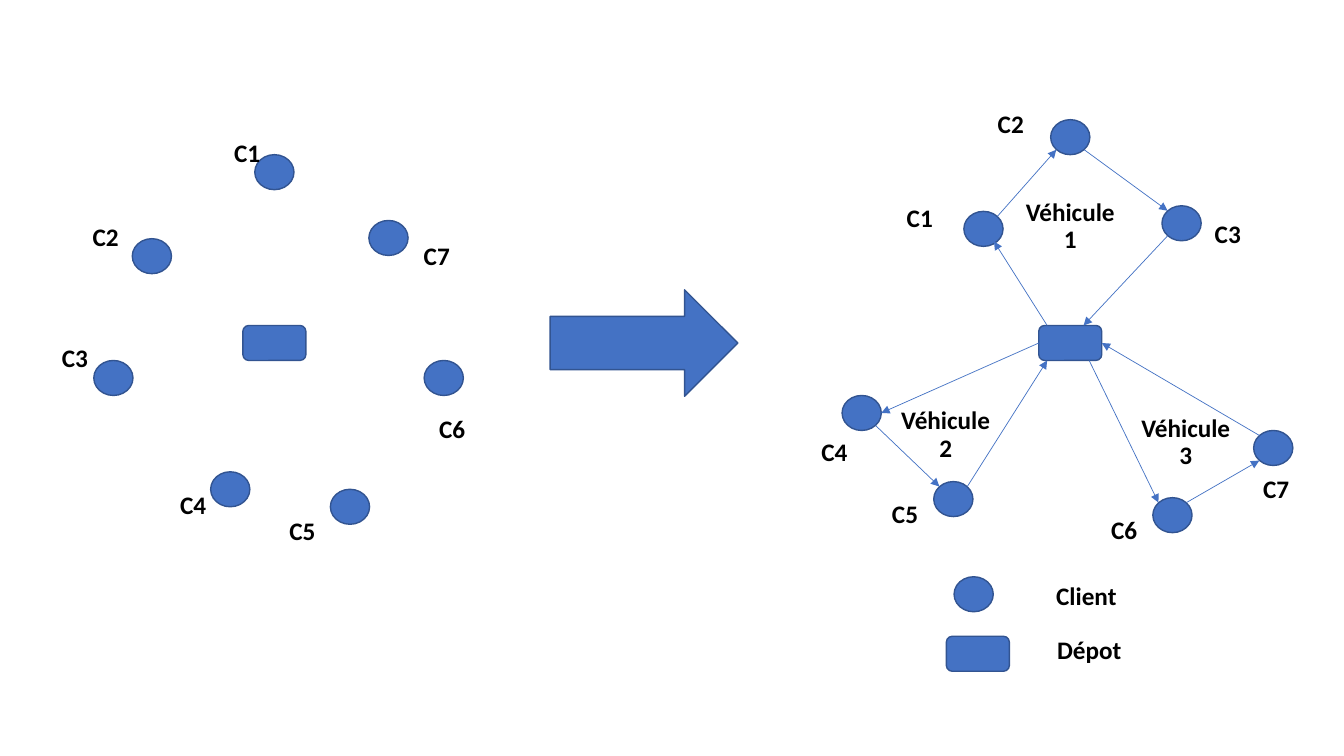
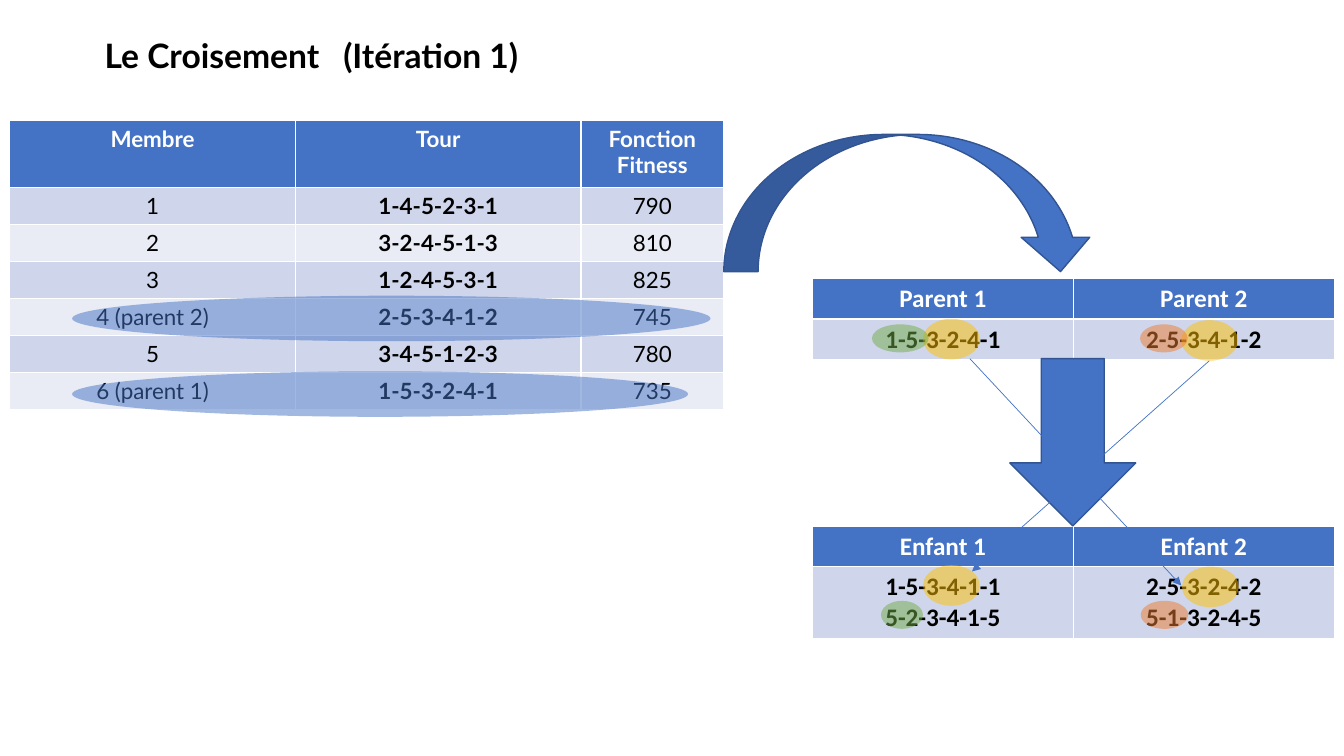
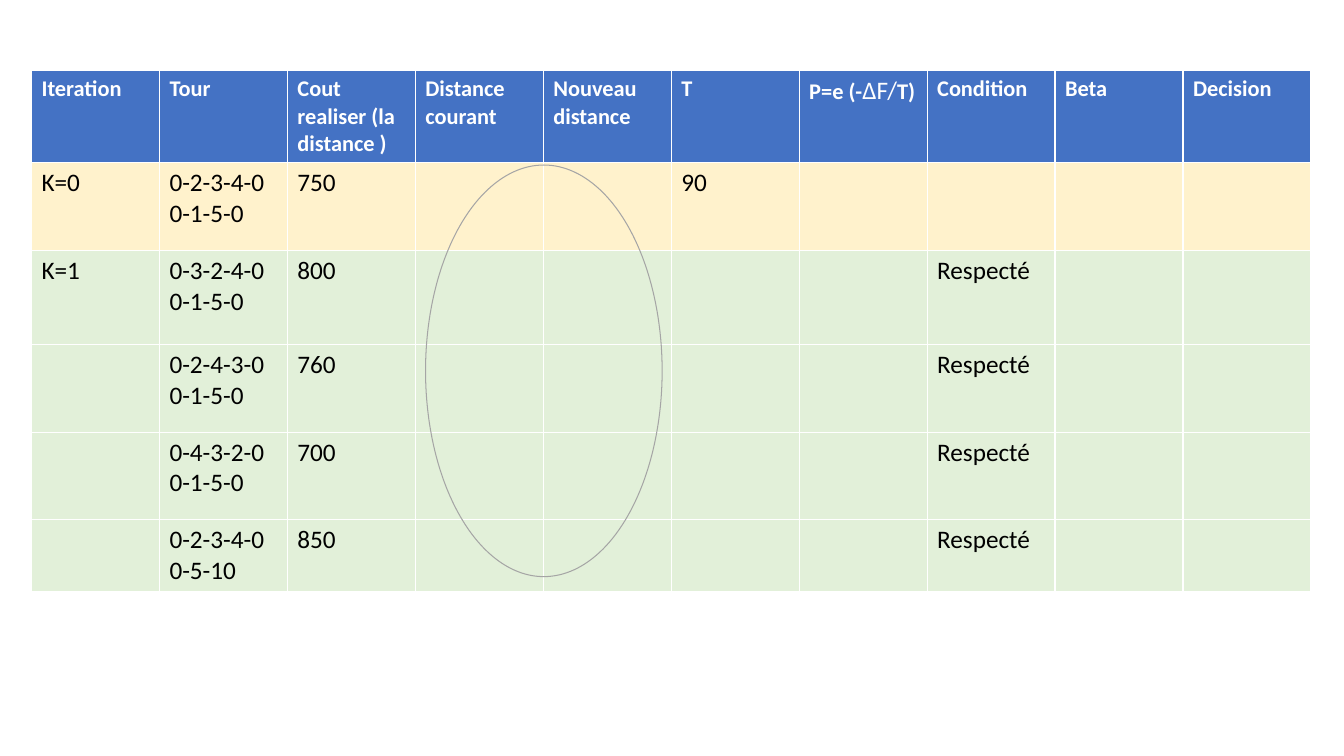
from lxml import etree
from pptx import Presentation
from pptx.dml.color import RGBColor
from pptx.enum import shapes, text
from pptx.oxml import ns
from pptx.util import Pt

BLUE = RGBColor(0x44, 0x72, 0xC4)
DARK_BLUE = RGBColor(0x32, 0x54, 0x91)
GOLD = RGBColor(0xFF, 0xC0, 0x00)
GREEN = RGBColor(0x70, 0xAD, 0x47)
ORANGE = RGBColor(0xED, 0x7D, 0x31)
GREY = RGBColor(0xA5, 0xA5, 0xA5)
BAND_DARK = RGBColor(0xCF, 0xD5, 0xEA)
BAND_LIGHT = RGBColor(0xE9, 0xEB, 0xF5)
CREAM = RGBColor(0xFF, 0xF2, 0xCC)
MINT = RGBColor(0xE2, 0xF0, 0xD9)
WHITE = RGBColor(0xFF, 0xFF, 0xFF)
BLACK = RGBColor(0x00, 0x00, 0x00)

FORM = shapes.MSO_SHAPE
CENTER, LEFT = text.PP_ALIGN.CENTER, text.PP_ALIGN.LEFT
TOP, MIDDLE = text.MSO_ANCHOR.TOP, text.MSO_ANCHOR.MIDDLE

LABEL = {"name": "Calibri", "size": Pt(18), "bold": True}
LABEL_PLAIN = {**LABEL, "bold": False}
HEADING = {**LABEL, "size": Pt(16)}
LATO = {"name": "Lato", "size": Pt(16), "bold": True}
LATO_PLAIN = {**LATO, "bold": False}
TITLE = {**LATO, "size": Pt(24)}

CLIENT_SIZE = (28, 25)
DEPOT_SIZE = (45, 25)
LABEL_SIZE = (39, 25)
WIDE_LABEL_SIZE = (84, 25)

SCATTERED = {
    "C1": ((0, -122), (-19.5, -13)),
    "C2": ((-87.5, -62), (-33, -13)),
    "C3": ((-115, 25), (-27.5, -13)),
    "C4": ((-31.5, 104.5), (-26.5, 12)),
    "C5": ((54, 117), (-34, 18)),
    "C6": ((121, 25), (6, 37.5)),
    "C7": ((81.5, -75), (34.5, 13.5)),
}
ROUTED = {
    "C1": ((-62, -81.5), (-45.5, -6.5)),
    "C2": ((0, -147), (-42.5, -8.5)),
    "C3": ((79.5, -85.5), (33, 8.5)),
    "C4": ((-149, 50), (-19.5, 29)),
    "C5": ((-83.5, 111.5), (-34.5, 11.5)),
    "C6": ((73, 123), (-34.5, 11.5)),
    "C7": ((145, 75), (2, 30)),
}
DEPOT = "Dépot"
LEGS = [
    (DEPOT, (-16.5, -12.5), "C1", (7.5, 9)),
    ("C1", (10, -9), "C2", (-10, 9)),
    ("C2", (10, 9), "C3", (-10, -9)),
    ("C3", (-10, 9), DEPOT, (9.5, -12.5)),
    (DEPOT, (-22.5, 0), "C4", (14, 0)),
    ("C4", (10, 9), "C5", (-10, -9)),
    ("C5", (10, -9), DEPOT, (-16.5, 12.5)),
    (DEPOT, (13.5, 12.5), "C6", (-10, -9)),
    ("C6", (10, -9), "C7", (-10, 9)),
    ("C7", (-10, -9), DEPOT, (22.5, 0)),
]
VEHICLES = {"Véhicule 1": (0, -83), "Véhicule 2": (-89, 66), "Véhicule 3": (82.5, 71.5)}

POPULATION = [
    ["Membre", "Tour", "Fonction Fitness"],
    ["1", "1-4-5-2-3-1", "790"],
    ["2", "3-2-4-5-1-3", "810"],
    ["3", "1-2-4-5-3-1", "825"],
    ["4 (parent 2)", "2-5-3-4-1-2", "745"],
    ["5", "3-4-5-1-2-3", "780"],
    ["6 (parent 1)", "1-5-3-2-4-1", "735"],
]
PARENTS = [["Parent 1", "Parent 2"], ["1-5-3-2-4-1", "2-5-3-4-1-2"]]
CHILDREN = [
    ["Enfant 1", "Enfant 2"],
    ["1-5-3-4-1-1\n5-2-3-4-1-5", "2-5-3-2-4-2\n5-1-3-2-4-5"],
]
GENES = [
    (GOLD, 79, 29, 40.5, 29),
    (GOLD, 263.5, 30, 40.5, 29),
    (GOLD, 79, 205, 40.5, 29),
    (GOLD, 264, 206, 40.5, 29),
    (GREEN, 42.5, 33, 40.5, 20),
    (GREEN, 49, 230.5, 30, 20),
    (ORANGE, 234, 33, 34, 20),
    (ORANGE, 234.5, 230.5, 34, 20),
]
ANNEALING_HEADER = [
    "Iteration", "Tour", "Cout realiser (la distance )", "Distance courant",
    "Nouveau\ndistance", "T", "P=e (-", "Condition", "Beta", "Decision",
]
ANNEALING = [
    ("K=0", "0-2-3-4-0\n0-1-5-0", "750", "90", ""),
    ("K=1", "0-3-2-4-0\n0-1-5-0", "800", "", "Respecté"),
    ("", "0-2-4-3-0\n0-1-5-0", "760", "", "Respecté"),
    ("", "0-4-3-2-0\n0-1-5-0", "700", "", "Respecté"),
    ("", "0-2-3-4-0\n0-5-10", "850", "", "Respecté"),
]


def add_run(paragraph, words, look, colour):
    run = paragraph.add_run()
    run.text = words
    for key, value in look.items():
        setattr(run.font, key, value)
    run.font.color.rgb = colour


def write(frame, words, look, colour=BLACK, align=CENTER, spacing=None):
    for index, line in enumerate(words.split("\n")):
        paragraph = frame.add_paragraph() if index else frame.paragraphs[0]
        paragraph.alignment = align
        if spacing:
            paragraph.line_spacing = spacing
        if line:
            add_run(paragraph, line, look, colour)


def place(shape, box):
    for side, length in zip(("left", "top", "width", "height"), box):
        setattr(shape, side, Pt(length))


def set_frame(frame, anchor):
    settings = {
        "word_wrap": True,
        "auto_size": text.MSO_AUTO_SIZE.NONE,
        "vertical_anchor": anchor,
    }
    for key, value in settings.items():
        setattr(frame, key, value)


def centred(centre, size):
    return centre[0] - size[0] / 2, centre[1] - size[1] / 2, *size


def shift(point, offset):
    return point[0] + offset[0], point[1] + offset[1]


def add_title(slide, words, box, look, align, anchor, spacing):
    title = slide.shapes.title
    place(title, box)
    set_frame(title.text_frame, anchor)
    write(title.text_frame, words, look, align=align, spacing=spacing)
    return title


def add_label(slide, words, centre, size=LABEL_SIZE):
    label = slide.shapes.add_textbox(*map(Pt, centred(centre, size)))
    set_frame(label.text_frame, MIDDLE)
    write(label.text_frame, words, LABEL, spacing=0.9)


def add_form(slide, form, box, fill=BLUE, line=DARK_BLUE, weight=1):
    shape = slide.shapes.add_shape(form, *map(Pt, box))
    shape.shadow.inherit = False
    if fill is None:
        shape.fill.background()
    else:
        shape.fill.solid()
        shape.fill.fore_color.rgb = fill
    if line is None:
        shape.line.fill.background()
    else:
        shape.line.color.rgb = line
        shape.line.width = Pt(weight)
    return shape


def add_highlight(slide, colour, box):
    mark = add_form(slide, FORM.OVAL, box, colour, None)
    tint = mark.fill._xPr.find(".//" + ns.qn("a:srgbClr"))
    etree.SubElement(tint, ns.qn("a:alpha"), val="50000")


def add_arrow(slide, start, end):
    arrow = slide.shapes.add_connector(
        shapes.MSO_CONNECTOR.STRAIGHT, *map(Pt, (*start, *end)))
    arrow.line.color.rgb = BLUE
    arrow.line.width = Pt(0.5)
    line = arrow.line._get_or_add_ln()
    etree.SubElement(line, ns.qn("a:tailEnd"), type="triangle")
    etree.SubElement(line.getparent(), ns.qn("a:effectLst"))


def add_grid(slide, origin, widths, heights, rows, bands, looks, head, align=CENTER):
    box = (*origin, sum(widths), sum(heights))
    grid = slide.shapes.add_table(len(rows), len(widths), *map(Pt, box)).table
    for column, width in zip(grid.columns, widths):
        column.width = Pt(width)
    for r, row in enumerate(rows):
        grid.rows[r].height = Pt(heights[r])
        for c, words in enumerate(row):
            cell = grid.cell(r, c)
            cell.fill.solid()
            cell.fill.fore_color.rgb = bands[r - 1] if r else BLUE
            look, colour = (looks[c], BLACK) if r else (head, WHITE)
            write(cell.text_frame, words, look, colour, align)
    return grid


def add_client(slide, centre):
    add_form(slide, FORM.OVAL, centred(centre, CLIENT_SIZE))


def add_depot(slide, centre):
    add_form(slide, FORM.ROUNDED_RECTANGLE, centred(centre, DEPOT_SIZE))


def add_network(slide, depot, clients, legs=(), vehicles=None):
    add_depot(slide, depot)
    centres = {DEPOT: depot}
    for name, (offset, label_offset) in clients.items():
        centres[name] = shift(depot, offset)
        add_client(slide, centres[name])
        add_label(slide, name, shift(centres[name], label_offset))
    for start, leave, end, arrive in legs:
        add_arrow(slide, shift(centres[start], leave), shift(centres[end], arrive))
    for name, offset in (vehicles or {}).items():
        add_label(slide, name, shift(depot, offset), WIDE_LABEL_SIZE)


def add_legend(slide, origin):
    add_client(slide, shift(origin, (19.5, 12.5)))
    add_depot(slide, shift(origin, (22.5, 55)))
    add_title(slide, "Client", centred(shift(origin, (100, 14.5)), WIDE_LABEL_SIZE),
              LABEL, CENTER, MIDDLE, 0.9)
    add_label(slide, DEPOT, shift(origin, (102, 53.5)), WIDE_LABEL_SIZE)


def add_population(slide, origin):
    add_grid(slide, origin, [204, 204, 102], [48.2] + [26.4] * 6, POPULATION,
             [BAND_DARK, BAND_LIGHT] * 3, [LATO_PLAIN, LATO, LATO_PLAIN], LATO)
    for top, width in ((125.5, 456), (179.5, 440)):
        add_highlight(slide, BLUE, (*shift(origin, (44.5, top)), width, 32.5))


def add_crossover(slide, origin):
    for top, height, rows in ((0, 28.8, PARENTS), (177, 50.4, CHILDREN)):
        add_grid(slide, shift(origin, (0, top)), [186.4] * 2, [28.8, height], rows,
                 [BAND_DARK], [LABEL] * 2, LABEL)
    add_form(slide, FORM.DOWN_ARROW, (*shift(origin, (141, 57.5)), 90, 119.5))
    for start, end in (((112.5, 57.5), (263.5, 219.5)), ((283.5, 59), (114, 209.5))):
        add_arrow(slide, shift(origin, start), shift(origin, end))
    for colour, left, top, width, height in GENES:
        add_highlight(slide, colour, (*shift(origin, (left, top)), width, height))


def add_annealing(slide, origin):
    rows = [ANNEALING_HEADER] + [
        [step, tour, cost, "", "", heat, "", condition, "", ""]
        for step, tour, cost, heat, condition in ANNEALING
    ]
    grid = add_grid(slide, origin, [91.4] * 10, [65.8, 62.6, 67.2, 62.6, 62.6, 50.8],
                    rows, [CREAM] + [MINT] * 4, [LABEL_PLAIN] * 10, HEADING, LEFT)
    formula = grid.cell(0, 6).text_frame.paragraphs[0]
    add_run(formula, "ΔF/", LABEL_PLAIN, WHITE)
    add_run(formula, "T)", HEADING, WHITE)
    add_form(slide, FORM.OVAL, (*shift(origin, (281.5, 67.5)), 169, 294),
             None, GREY, 0.75)


def build_routing(slide):
    add_network(slide, (196, 245), SCATTERED)
    add_form(slide, FORM.RIGHT_ARROW, (393, 207, 134, 76))
    add_network(slide, (764.5, 245), ROUTED, LEGS, VEHICLES)
    add_legend(slide, (676, 412))


def build_crossover(slide):
    title = add_title(slide, "Le Croisement\t(Itération 1)", (67.5, 21.5, 480, 36),
                      TITLE, LEFT, TOP, 1.0)
    properties = title.text_frame.paragraphs[0]._p.get_or_add_pPr()
    stops = etree.SubElement(properties, ns.qn("a:tabLst"))
    etree.SubElement(stops, ns.qn("a:tab"), pos=str(Pt(170.5)), algn="l")
    add_population(slide, (7, 85.7))
    add_form(slide, FORM.CURVED_DOWN_ARROW, (517, 96, 265, 98))
    add_crossover(slide, (580.3, 198.7))


def build_annealing(slide):
    add_annealing(slide, (22.5, 50.4))


def main():
    deck = Presentation()
    deck.slide_width, deck.slide_height = Pt(960), Pt(540)
    title_only, blank = deck.slide_layouts[5], deck.slide_layouts[6]
    for layout, build in ((title_only, build_routing), (title_only, build_crossover),
                          (blank, build_annealing)):
        build(deck.slides.add_slide(layout))
    deck.save("out.pptx")


if __name__ == "__main__":
    main()
